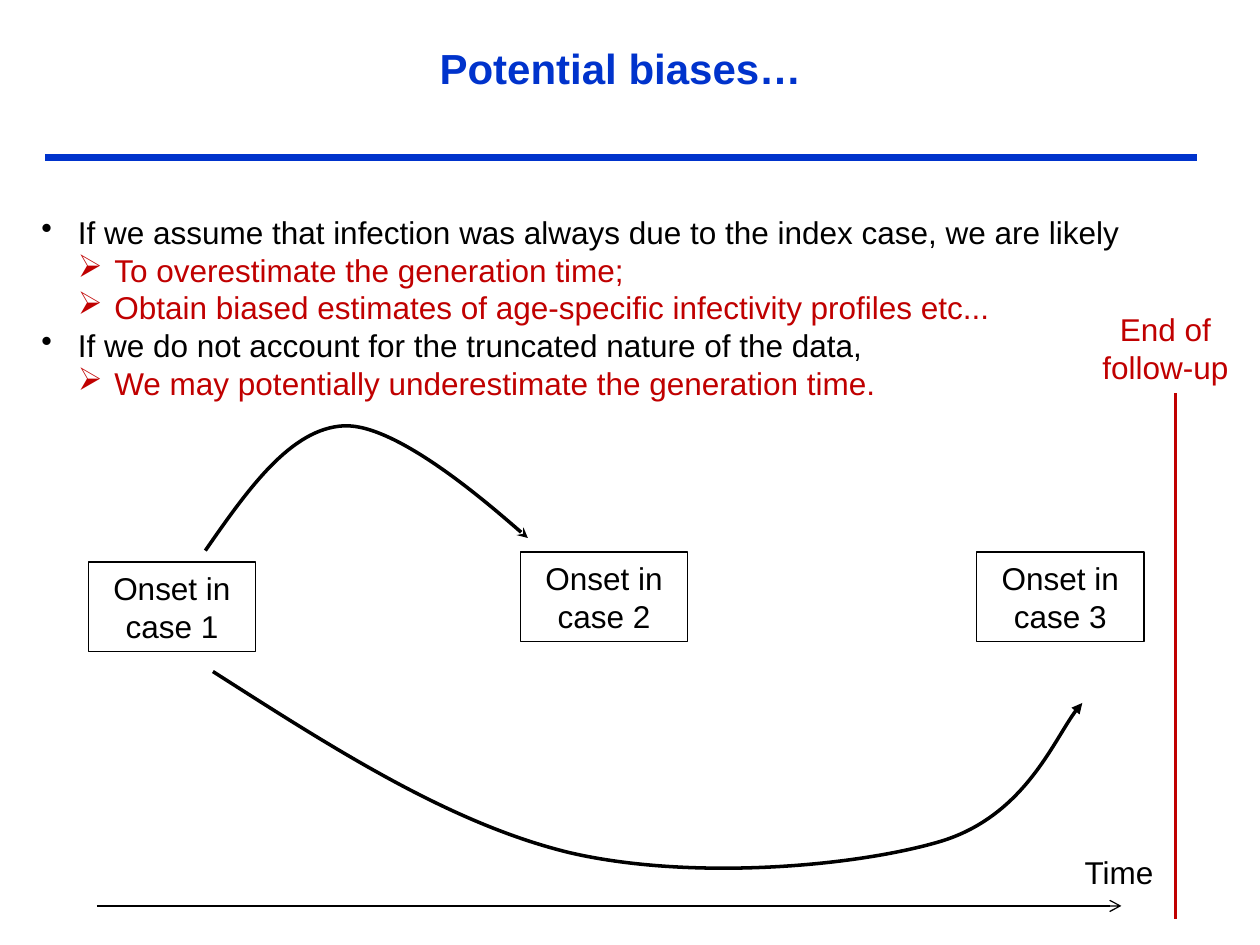
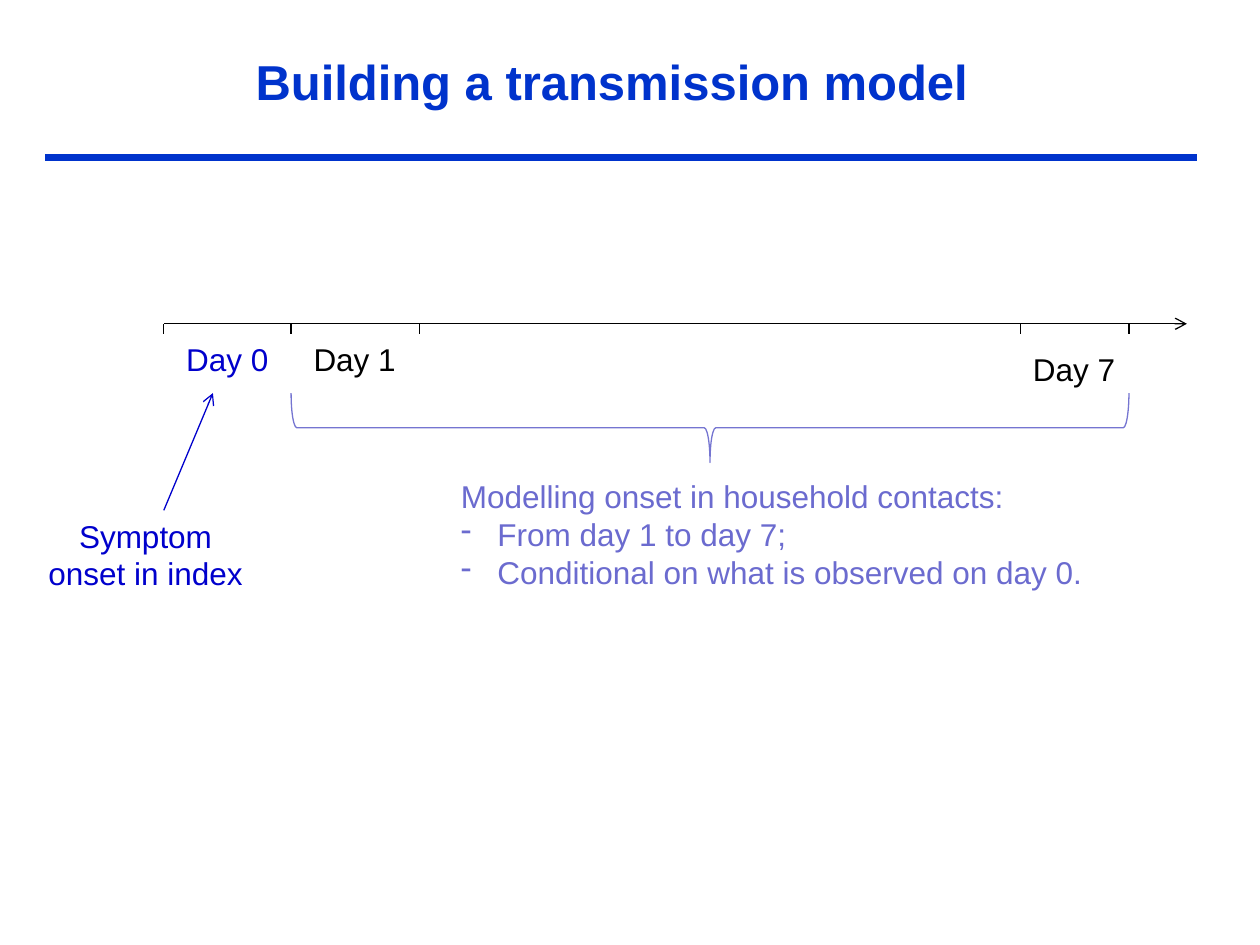
from lxml import etree
from pptx import Presentation
from pptx.dml.color import RGBColor
from pptx.enum.shapes import MSO_CONNECTOR, MSO_SHAPE
from pptx.enum.text import PP_ALIGN
from pptx.oxml.ns import qn
from pptx.util import Inches, Pt

STRAIGHT = MSO_CONNECTOR.STRAIGHT
RECTANGLE, RIGHT_BRACE = MSO_SHAPE.RECTANGLE, MSO_SHAPE.RIGHT_BRACE
LEFT, CENTER = PP_ALIGN.LEFT, PP_ALIGN.CENTER

COLORS = {
    "title": "0033CC",
    "ink": "000000",
    "bias": "C00000",
    "index": "0000CC",
    "contacts": "6B6BCF",
    "brace": "7575D1",
}
COLUMNS, ROWS = 100, 75
HANG = Inches(0.29)


class Deck:
    """Draws on the current slide; lengths are columns and rows of a 100 x 75 grid."""

    font = "Arial"
    body_size = 18

    def __init__(self):
        self.prs = Presentation()
        self.prs.slide_width, self.prs.slide_height = Inches(10), Inches(7.5)
        self.shapes = None

    def x(self, columns):
        return round(self.prs.slide_width * columns / COLUMNS)

    def y(self, rows):
        return round(self.prs.slide_height * rows / ROWS)

    def box(self, left, top, width, height):
        return self.x(left), self.y(top), self.x(width), self.y(height)

    def new_slide(self, title, at, size):
        self.shapes = self.prs.slides.add_slide(self.prs.slide_layouts[6]).shapes
        self.line((3.6, 12.5), (95, 12.5), "title", 4.5)
        self.text(at, [(title, "title")], CENTER, size=size, bold=True)

    def outline(self, shape, color, width, arrow=None):
        shape.line.color.rgb = RGBColor.from_string(COLORS[color])
        shape.line.width = Pt(width)
        if arrow:
            ln = shape._element.spPr.find(qn("a:ln"))
            etree.SubElement(ln, qn("a:tailEnd"), type=arrow)

    def line(self, start, end, color="ink", width=0.75, arrow=None):
        connector = self.shapes.add_connector(
            STRAIGHT, self.x(start[0]), self.y(start[1]), self.x(end[0]), self.y(end[1]))
        self.outline(connector, color, width, arrow)
        etree.SubElement(connector._element.spPr, qn("a:effectLst"))

    def hollow(self, shape, color, width, arrow=None):
        shape.fill.background()
        shape.shadow.inherit = False
        self.outline(shape, color, width, arrow)

    def curve(self, start, points, arrow):
        """Bezier arrow: each three points are two controls and an end."""
        builder = self.shapes.build_freeform(self.x(start[0]), self.y(start[1]))
        builder.add_line_segments([(self.x(c), self.y(r)) for c, r in points], close=False)
        shape = builder.convert_to_shape()
        segments = list(shape._element.iter(qn("a:lnTo")))
        for first in range(0, len(segments), 3):
            trio = segments[first:first + 3]
            bezier = etree.Element(qn("a:cubicBezTo"))
            trio[0].addprevious(bezier)
            for segment in trio:
                bezier.append(segment[0])
                segment.getparent().remove(segment)
        self.hollow(shape, "ink", 2, arrow)

    def fill_text(self, frame, paragraphs, align, size=body_size, bold=False):
        """Each paragraph is (text, color) or (text, color, bullet, level)."""
        for number, (text, color, *bullet) in enumerate(paragraphs):
            paragraph = frame.paragraphs[0] if number == 0 else frame.add_paragraph()
            paragraph.text = text
            paragraph.alignment = align
            font = paragraph.font
            font.name, font.size, font.bold = self.font, Pt(size), bold
            font.color.rgb = RGBColor.from_string(COLORS[color])
            if bullet:
                mark, level = bullet
                paragraph.level = level
                properties = paragraph._p.get_or_add_pPr()
                properties.set("marL", str(HANG * (level + 1)))
                properties.set("indent", str(-HANG))
                char = etree.Element(qn("a:buChar"), char=mark)
                properties.find(qn("a:defRPr")).addprevious(char)

    def text(self, at, paragraphs, align=LEFT, wrap=True, **style):
        frame = self.shapes.add_textbox(*self.box(*at)).text_frame
        frame.word_wrap = wrap
        self.fill_text(frame, paragraphs, align, **style)

    def event(self, left, top, label):
        shape = self.shapes.add_shape(RECTANGLE, *self.box(left, top, 13.3, 7.1))
        self.hollow(shape, "ink", 0.75)
        shape.text_frame.word_wrap = True
        self.fill_text(shape.text_frame, [(label, "ink")], CENTER)

    def brace_below(self, left, top, width, height):
        """Brace that spans the given box and points down."""
        shape = self.shapes.add_shape(RIGHT_BRACE, *self.box(
            left + (width - height) / 2, top + (height - width) / 2, height, width))
        shape.rotation = 90
        self.hollow(shape, "brace", 0.75)


def potential_biases(deck):
    deck.new_slide("Potential biases…", (14.6, 2.9, 69.3, 5), 24)
    deck.text((2.3, 16.4, 97.7, 19.2), [
        ("If we assume that infection was always due to the index case, we are likely",
         "ink", "•", 0),
        ("To overestimate the generation time;", "bias", "➢", 1),
        ("Obtain biased estimates of age-specific infectivity profiles etc...", "bias", "➢", 1),
        ("If we do not account for the truncated nature of the data,", "ink", "•", 0),
        ("We may potentially underestimate the generation time.", "bias", "➢", 1),
    ])
    deck.line((7.7, 71.9), (89, 71.9), arrow="arrow")
    for case, (left, top) in enumerate([(7, 44.6), (41.3, 43.8), (77.5, 43.8)], 1):
        deck.event(left, top, f"Onset in case {case}")
    deck.text((85.1, 67.2, 7.5, 4), [("Time", "ink")], wrap=False)
    deck.curve((16.3, 43.7), [(19.7, 38.8), (23.1, 34), (27.3, 33.8),
                              (31.6, 33.6), (41.9, 42.7), (41.9, 42.7)], "stealth")
    deck.curve((16.9, 53.3), [(26.3, 59.3), (35.7, 65.4), (45.3, 67.7),
                              (54.9, 69.9), (67.8, 68.8), (74.6, 66.8),
                              (81.3, 64.8), (84.1, 57.6), (85.9, 55.8)], "triangle")
    deck.line((93.3, 31.2), (93.3, 72.9), "bias", 1.5)
    deck.text((85, 24.1, 15, 7.1), [("End of follow-up", "bias")], CENTER)


def transmission_model(deck):
    deck.new_slide("Building a transmission model", (9.1, 3.6, 78.9, 5.7), 28)
    axis, tick_end = 25.7, 26.5
    deck.line((13, axis), (94.2, axis), arrow="arrow")
    for day_edge in (13, 23.1, 33.3, 81, 89.6):
        deck.line((day_edge, tick_end), (day_edge, axis))
    for day, left, top, color in [(0, 13.8, 26.5, "index"), (1, 23.9, 26.5, "ink"),
                                  (7, 81, 27.3, "ink")]:
        deck.text((left, top, 8.6, 4), [(f"Day {day}", color)], wrap=False)
    deck.text((2.8, 40.5, 17.5, 7.1), [("Symptom onset in index", "index")], CENTER)
    deck.line((13, 40.5), (16.9, 31.2), "index", arrow="arrow")
    deck.text((35.6, 37.4, 54, 10.1), [
        ("Modelling onset in household contacts:", "contacts"),
        ("From day 1 to day 7;", "contacts", "-", 0),
        ("Conditional on what is observed on day 0.", "contacts", "-", 0),
    ])
    deck.brace_below(23.1, 31.2, 66.5, 5.5)


def main():
    deck = Deck()
    potential_biases(deck)
    transmission_model(deck)
    deck.prs.save("out.pptx")


if __name__ == "__main__":
    main()
